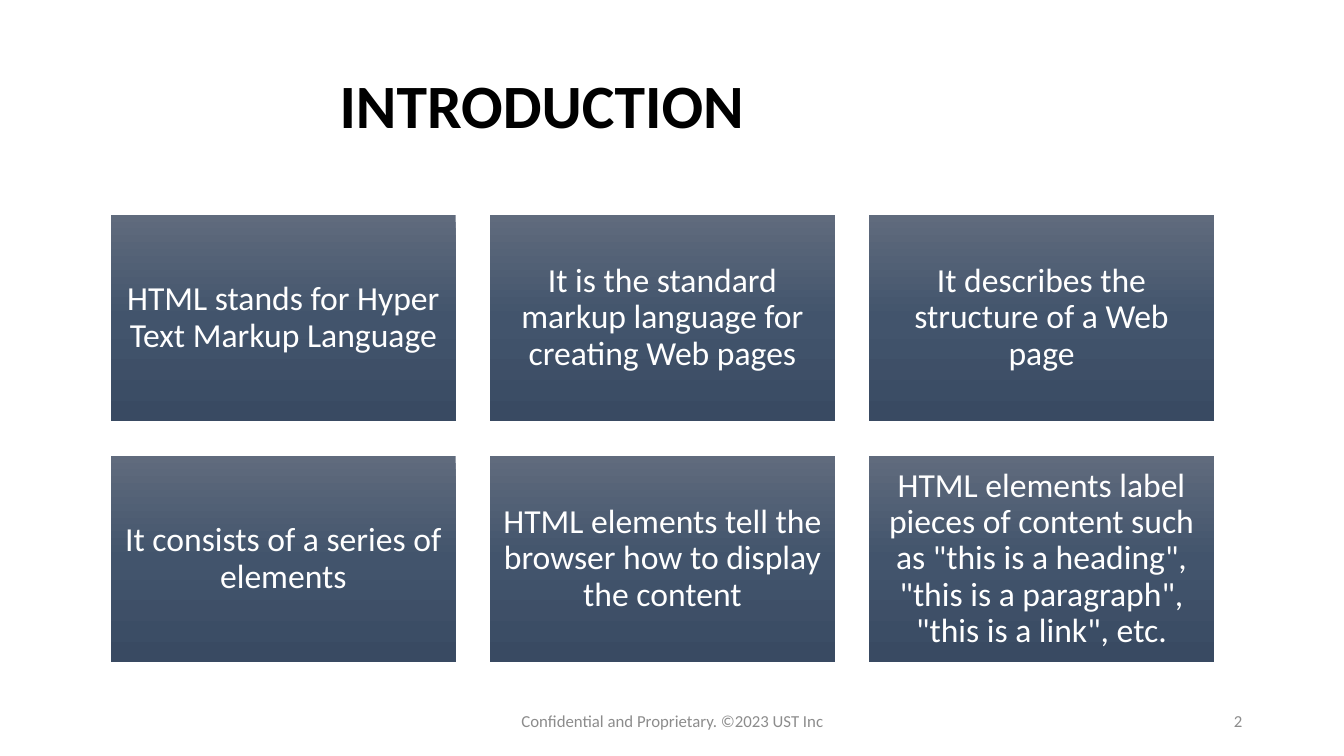
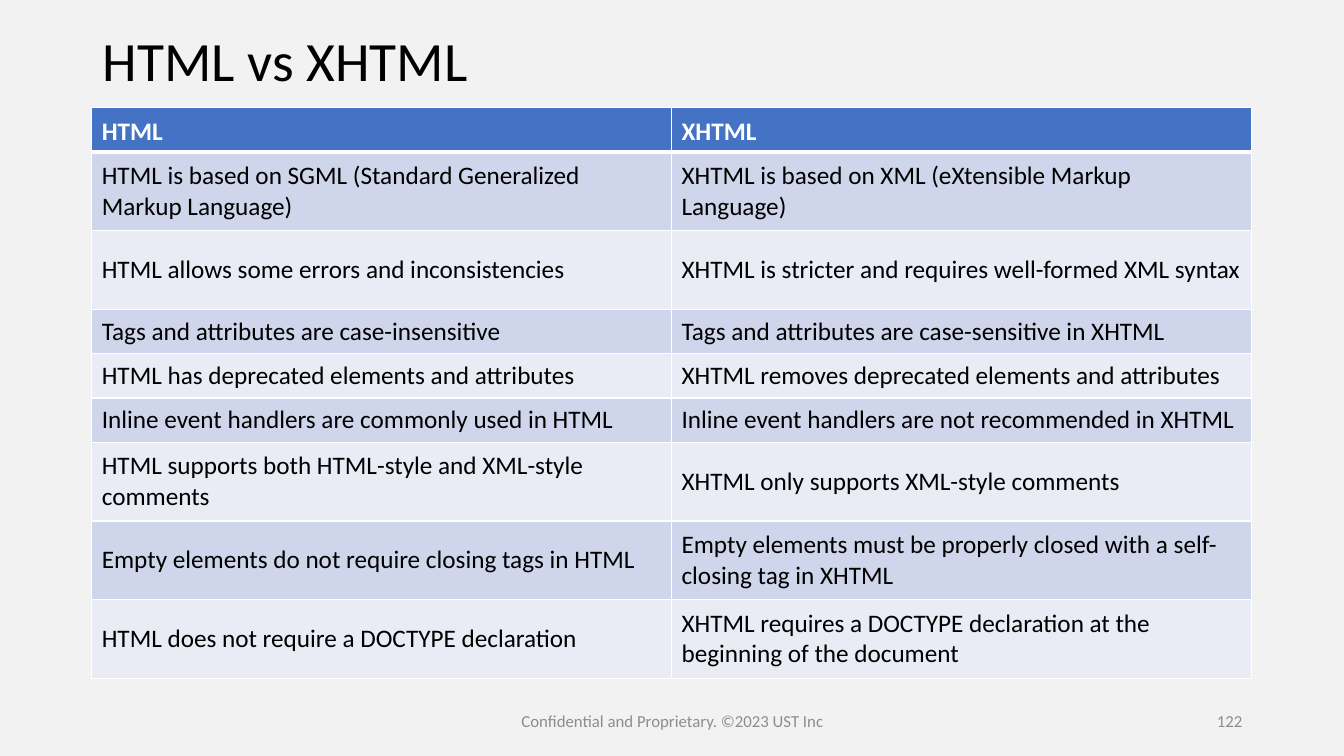
from copy import deepcopy

from lxml import etree
from pptx import Presentation
from pptx import util as u
from pptx.dml.color import RGBColor
from pptx.enum import shapes, text
from pptx.oxml.ns import qn

WIDTH, HEIGHT = 13.33, 7.5
FONT = "Calibri"
BLACK, WHITE, GREY = "000000", "FFFFFF", "8C8C8C"
HEADER_FILL, BAND_FILLS = "4472C4", ("CFD5EA", "E9EBF5")
CARD_GRADIENT = ((0, "606B7D"), (0.5, "42546C"), (1, "394A62"))
LEFT, CENTER, RIGHT = text.PP_ALIGN.LEFT, text.PP_ALIGN.CENTER, text.PP_ALIGN.RIGHT
MIDDLE, BOTTOM = text.MSO_ANCHOR.MIDDLE, text.MSO_ANCHOR.BOTTOM

FOOTER = "Confidential and Proprietary. ©2023 UST Inc"

FACTS = [
    "HTML stands for Hyper Text Markup Language",
    "It is the standard markup language for creating Web pages",
    "It describes the structure of a Web page",
    "It consists of a series of elements",
    "HTML elements tell the browser how to display the content",
    'HTML elements label pieces of content such as "this is a heading", '
    '"this is a paragraph", "this is a link", etc.',
]

COMPARISON = [
    ("HTML", "XHTML"),
    ("HTML is based on SGML (Standard Generalized Markup Language)",
     "XHTML is based on XML (eXtensible Markup Language)"),
    ("HTML allows some errors and inconsistencies",
     "XHTML is stricter and requires well-formed XML syntax"),
    ("Tags and attributes are case-insensitive",
     "Tags and attributes are case-sensitive in XHTML"),
    ("HTML has deprecated elements and attributes",
     "XHTML removes deprecated elements and attributes"),
    ("Inline event handlers are commonly used in HTML",
     "Inline event handlers are not recommended in XHTML"),
    ("HTML supports both HTML-style and XML-style comments",
     "XHTML only supports XML-style comments"),
    ("Empty elements do not require closing tags in HTML",
     "Empty elements must be properly closed with a self-closing tag in XHTML"),
    ("HTML does not require a DOCTYPE declaration",
     "XHTML requires a DOCTYPE declaration at the beginning of the document"),
]
SHORT_ROW, TALL_ROW = 0.44, 0.78
TALL_ROWS = {1, 2, 6, 7, 8}


def rgb(value):
    return RGBColor.from_string(value)


def inches(*values):
    return [u.Inches(v) for v in values]


def write(tf, words, size=18, color=BLACK, bold=False, align=LEFT, spacing=1.0):
    tf.word_wrap = True
    p = tf.paragraphs[0]
    p.alignment, p.line_spacing = align, spacing
    r = p.add_run()
    r.text = words
    r.font.name, r.font.size, r.font.bold = FONT, u.Pt(size), bold
    r.font.color.rgb = rgb(color)


def add_text(s, box, words, **style):
    tf = s.shapes.add_textbox(*inches(*box)).text_frame
    tf.vertical_anchor = MIDDLE
    write(tf, words, **style)


def add_slide(prs, background, number, title, title_box, **title_style):
    """Add a slide with its background, title, footer and page number."""
    s = prs.slides.add_slide(prs.slide_layouts[6])
    s.background.fill.solid()
    s.background.fill.fore_color.rgb = rgb(background)
    add_text(s, title_box, title, spacing=0.9, **title_style)
    add_text(s, (4.42, 6.95, 4.5, 0.4), FOOTER, size=12, color=GREY, align=CENTER)
    add_text(s, (9.42, 6.95, 3, 0.4), str(number), size=12, color=GREY, align=RIGHT)
    return s


def fill_gradient(sp, stops):
    """Fill a shape from top to bottom with any number of stops."""
    sp.fill.gradient()
    sp.fill.gradient_angle = 270
    stop_list = sp.element.spPr.find(qn("a:gradFill")).find(qn("a:gsLst"))
    while len(stop_list) < len(stops):
        stop_list.append(deepcopy(stop_list[0]))
    for stop, (position, color) in zip(sp.fill.gradient_stops, stops):
        stop.position = position
        stop.color.rgb = rgb(color)


def add_cards(s, facts, columns=3, left=1.1, top=2.13, width=3.42, height=2.05, gap=0.34):
    for i, fact in enumerate(facts):
        row, col = divmod(i, columns)
        box = (left + col * (width + gap), top + row * (height + gap), width, height)
        sp = s.shapes.add_shape(shapes.MSO_SHAPE.RECTANGLE, *inches(*box))
        sp.shadow.inherit = False
        fill_gradient(sp, CARD_GRADIENT)
        sp.line.fill.background()
        tf = sp.text_frame
        tf.margin_left = tf.margin_right = tf.margin_top = tf.margin_bottom = u.Inches(0.1)
        tf.vertical_anchor = MIDDLE
        write(tf, fact, size=24, color=WHITE, align=CENTER, spacing=0.9)


def set_borders(cell, color, **widths):
    """Draw cell borders; widths maps L, R, T and B to points."""
    tc_pr = cell._tc.get_or_add_tcPr()
    for i, (side, width) in enumerate(widths.items()):
        ln = etree.Element(qn(f"a:ln{side}"), w=str(u.Pt(width)))
        fill = etree.SubElement(ln, qn("a:solidFill"))
        etree.SubElement(fill, qn("a:srgbClr"), val=color)
        tc_pr.insert(i, ln)


def add_comparison(s, rows, left=0.91, top=1.07, width=11.5):
    heights = [TALL_ROW if i in TALL_ROWS else SHORT_ROW for i in range(len(rows))]
    frame = s.shapes.add_table(len(rows), len(rows[0]),
                               *inches(left, top, width, sum(heights)))
    table = frame.table
    for i, (row, height) in enumerate(zip(rows, heights)):
        table.rows[i].height = u.Inches(height)
        header = i == 0
        for j, words in enumerate(row):
            cell = table.cell(i, j)
            cell.fill.solid()
            cell.fill.fore_color.rgb = rgb(HEADER_FILL if header else BAND_FILLS[(i - 1) % 2])
            cell.vertical_anchor = BOTTOM if header else MIDDLE
            set_borders(cell, WHITE, L=1, R=1, T=3 if i == 1 else 1, B=3 if header else 1)
            write(cell.text_frame, words, color=WHITE if header else BLACK, bold=header)


def main():
    prs = Presentation()
    prs.slide_width, prs.slide_height = inches(WIDTH, HEIGHT)

    s = add_slide(prs, WHITE, 2, "INTRODUCTION", (3.27, 0.75, 9.83, 0.65), size=44, bold=True)
    add_cards(s, FACTS)

    s = add_slide(prs, "F2F2F2", 122, "HTML vs XHTML", (0.92, 0.4, 11.5, 0.47), size=39.6)
    add_comparison(s, COMPARISON)

    prs.save("out.pptx")


if __name__ == "__main__":
    main()
